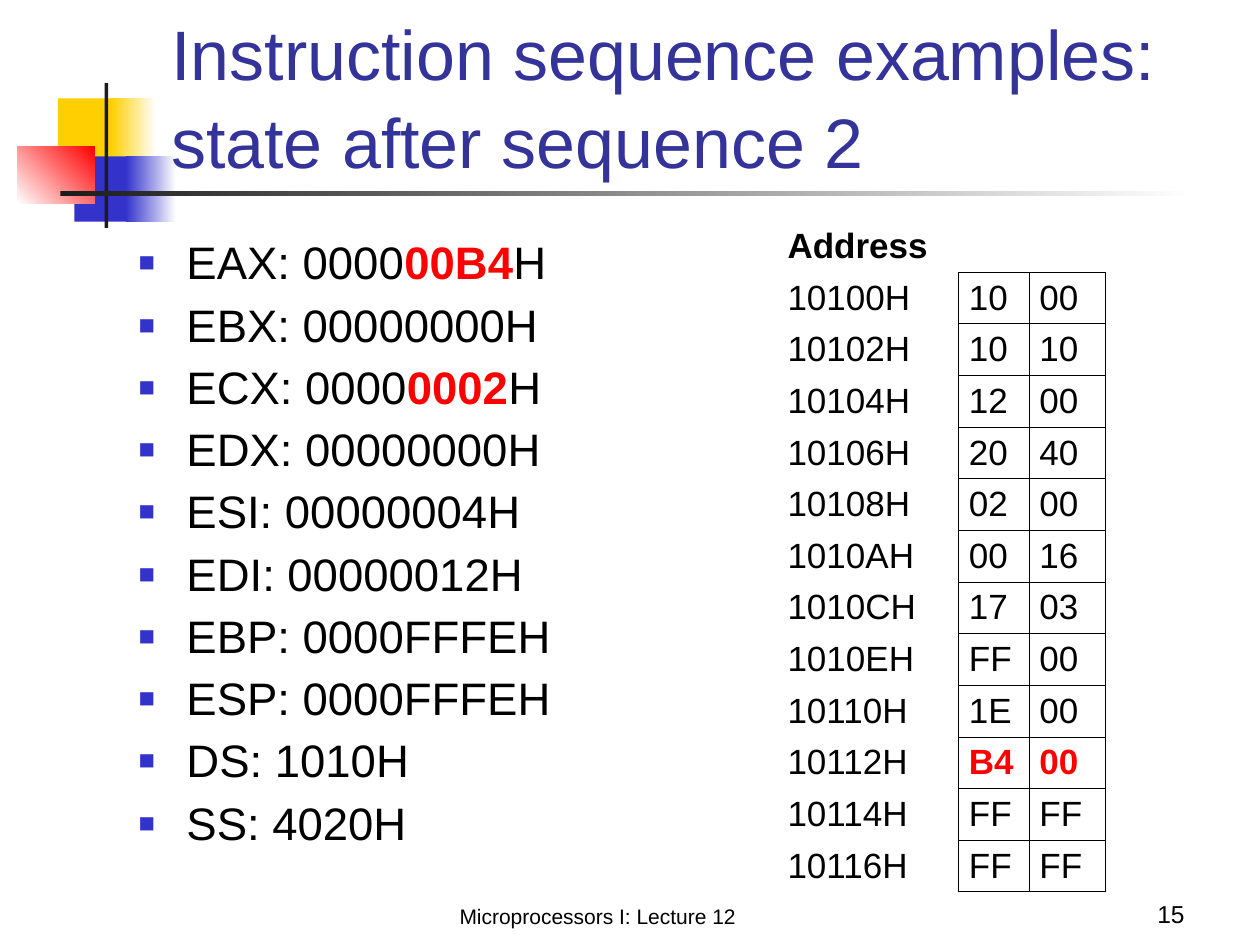
from lxml import etree
from pptx import Presentation
from pptx import util as u
from pptx.dml.color import RGBColor
from pptx.enum import shapes, text
from pptx.oxml import ns

BLACK = RGBColor(0x00, 0x00, 0x00)
WHITE = RGBColor(0xFF, 0xFF, 0xFF)
RED = RGBColor(0xFF, 0x00, 0x00)
YELLOW = RGBColor(0xFF, 0xCF, 0x01)
BLUE = RGBColor(0x33, 0x33, 0xCC)
NAVY = RGBColor(0x33, 0x33, 0x99)
CHARCOAL = RGBColor(0x1C, 0x1C, 0x1C)

# Left, top, width, height, colours (two make a gradient), gradient angle
ORNAMENTS = [
    (0.46, 0.78, 0.48, 0.52, [YELLOW], 0),
    (0.88, 0.78, 0.36, 0.52, [YELLOW, WHITE], 0),
    (0.59, 1.24, 0.46, 0.52, [BLUE], 0),
    (1, 1.24, 0.4, 0.52, [BLUE, WHITE], 0),
    (0.14, 1.16, 0.61, 0.46, [WHITE, RED], 45),
    (0.83, 0.66, 0.03, 1.15, [CHARCOAL], 0),
    (0.48, 1.52, 9, 0.04, [CHARCOAL, WHITE], 0),
]

# Changed digits stand between asterisks
REGISTERS = [
    "EAX: 0000*00B4*H", "EBX: 00000000H", "ECX: 0000*0002*H",
    "EDX: 00000000H", "ESI: 00000004H", "EDI: 00000012H",
    "EBP: 0000FFFEH", "ESP: 0000FFFEH", "DS: 1010H", "SS: 4020H",
]

FIRST_ADDRESS = 0x10100
MEMORY = [
    ("10", "00"), ("10", "10"), ("12", "00"), ("20", "40"),
    ("02", "00"), ("00", "16"), ("17", "03"), ("FF", "00"),
    ("1E", "00"), ("*B4*", "*00*"), ("FF", "FF"), ("FF", "FF"),
]
COLUMN_WIDTHS = [1.44, 0.56, 0.6]
ROW_HEIGHT = 0.41


def set_format(target, values):
    for name, value in values.items():
        setattr(target, name, value)


def place(shape, left, top, width, height):
    set_format(shape, {"left": u.Inches(left), "top": u.Inches(top),
                       "width": u.Inches(width), "height": u.Inches(height)})


def write(para, content, size, color=BLACK, bold=False):
    """Add runs; the parts between asterisks are bold and red."""
    for index, part in enumerate(content.split("*")):
        if part:
            changed = index % 2 == 1
            span = para.add_run()
            span.text = part
            set_format(span.font, {"name": "Arial", "size": u.Pt(size),
                                   "bold": bold or changed})
            span.font.color.rgb = RED if changed else color


def add_ornament(page, left, top, width, height, colors, angle):
    shape = page.shapes.add_shape(
        shapes.MSO_SHAPE.RECTANGLE, u.Inches(left), u.Inches(top),
        u.Inches(width), u.Inches(height))
    shape.shadow.inherit = False
    shape.line.fill.background()
    if len(colors) == 1:
        shape.fill.solid()
        shape.fill.fore_color.rgb = colors[0]
        return
    shape.fill.gradient()
    shape.fill.gradient_angle = angle
    for stop, color in zip(shape.fill.gradient_stops, colors):
        stop.color.rgb = color


def add_bullet(para):
    properties = para._p.get_or_add_pPr()
    properties.set("marL", str(u.Inches(0.38)))
    properties.set("indent", str(-u.Inches(0.38)))
    color = etree.SubElement(properties, ns.qn("a:buClr"))
    etree.SubElement(color, ns.qn("a:srgbClr"), val=str(BLUE))
    etree.SubElement(properties, ns.qn("a:buSzPct"), val="60000")
    etree.SubElement(properties, ns.qn("a:buFont"), typeface="Arial")
    etree.SubElement(properties, ns.qn("a:buChar"), char="■")


def fill_title(page):
    title = page.shapes.title
    place(title, 1.26, 0.25, 8.52, 1.25)
    set_format(title.text_frame, {
        "word_wrap": True, "auto_size": text.MSO_AUTO_SIZE.NONE,
        "vertical_anchor": text.MSO_ANCHOR.BOTTOM})
    para = title.text_frame.paragraphs[0]
    set_format(para, {"alignment": text.PP_ALIGN.LEFT, "line_spacing": 1.05})
    write(para, "Instruction sequence examples: state after sequence 2",
          40, NAVY)


def fill_registers(page):
    body = page.placeholders[1]
    place(body, 1, 1.83, 4.31, 4.87)
    frame = body.text_frame
    set_format(frame, {"word_wrap": True, "margin_top": u.Inches(0.08),
                       "auto_size": text.MSO_AUTO_SIZE.NONE,
                       "vertical_anchor": text.MSO_ANCHOR.TOP})
    for index, register in enumerate(REGISTERS):
        para = frame.add_paragraph() if index else frame.paragraphs[0]
        add_bullet(para)
        set_format(para, {"line_spacing": 0.9,
                          "space_before": u.Pt(7.5 if index else 0)})
        write(para, register, 26)


def set_borders(cell, colors):
    """Draw the left, right, top and bottom borders in that order."""
    properties = cell._tc.get_or_add_tcPr()
    for index, (side, color) in enumerate(zip("LRTB", colors)):
        line = etree.Element(ns.qn(f"a:ln{side}"), w=str(u.Pt(0.45)))
        fill = etree.SubElement(line, ns.qn("a:solidFill"))
        etree.SubElement(fill, ns.qn("a:srgbClr"), val=str(color))
        properties.insert(index, line)


def border_colors(row, column):
    if row and column:
        return [BLACK] * 4
    right = BLACK if row else WHITE
    bottom = BLACK if column else WHITE
    return [WHITE, right, WHITE, bottom]


def add_memory_table(page):
    rows = [("Address", "", "")]
    rows += [(f"{FIRST_ADDRESS + 2 * index:X}H", *pair)
             for index, pair in enumerate(MEMORY)]
    table = page.shapes.add_table(
        len(rows), len(COLUMN_WIDTHS), u.Inches(6.17), u.Inches(1.75),
        u.Inches(sum(COLUMN_WIDTHS)), u.Inches(ROW_HEIGHT * len(rows))).table
    set_format(table, {"first_row": False, "horz_banding": False})
    for column, width in zip(table.columns, COLUMN_WIDTHS):
        column.width = u.Inches(width)
    for row, values in enumerate(rows):
        table.rows[row].height = u.Inches(ROW_HEIGHT)
        for column, value in enumerate(values):
            cell = table.cell(row, column)
            set_format(cell, {
                "margin_left": u.Inches(0.08), "margin_right": u.Inches(0.08),
                "margin_top": u.Inches(0.05), "margin_bottom": u.Inches(0.04)})
            cell.fill.solid()
            cell.fill.fore_color.rgb = WHITE
            set_borders(cell, border_colors(row, column))
            para = cell.text_frame.paragraphs[0]
            para.alignment = (text.PP_ALIGN.LEFT if column
                              else text.PP_ALIGN.JUSTIFY)
            write(para, value, 20, bold=row == 0)


def add_footer(page, left, width, content, size, alignment):
    box = page.shapes.add_textbox(u.Inches(left), u.Inches(6.92),
                                  u.Inches(width), u.Inches(0.5))
    set_format(box.text_frame, {"word_wrap": True,
                                "vertical_anchor": text.MSO_ANCHOR.BOTTOM})
    para = box.text_frame.paragraphs[0]
    para.alignment = alignment
    write(para, content, size)


def main():
    deck = Presentation()
    set_format(deck, {"slide_width": u.Inches(10),
                      "slide_height": u.Inches(7.5)})
    page = deck.slides.add_slide(deck.slide_layouts[1])

    # Corner ornament, kept behind the title and the list
    placeholders = list(page.placeholders)
    for ornament in ORNAMENTS:
        add_ornament(page, *ornament)
    for placeholder in placeholders:
        page.shapes._spTree.append(placeholder._element)

    # Title, registers and memory
    fill_title(page)
    fill_registers(page)
    add_memory_table(page)

    # Footer and page number
    add_footer(page, 2.08, 5.33, "Microprocessors I: Lecture 12", 12,
               text.PP_ALIGN.CENTER)
    add_footer(page, 7.42, 2.08, "15", 14, text.PP_ALIGN.RIGHT)
    deck.save("out.pptx")


if __name__ == "__main__":
    main()
